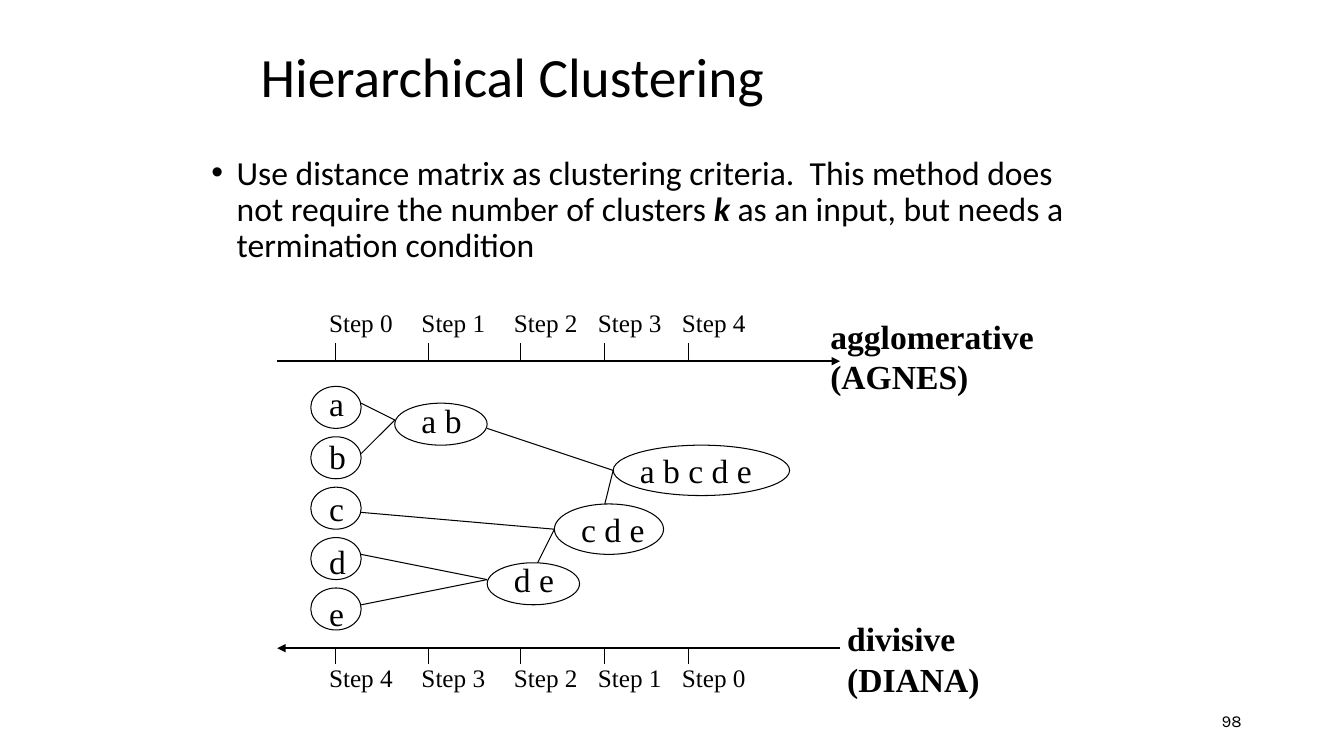
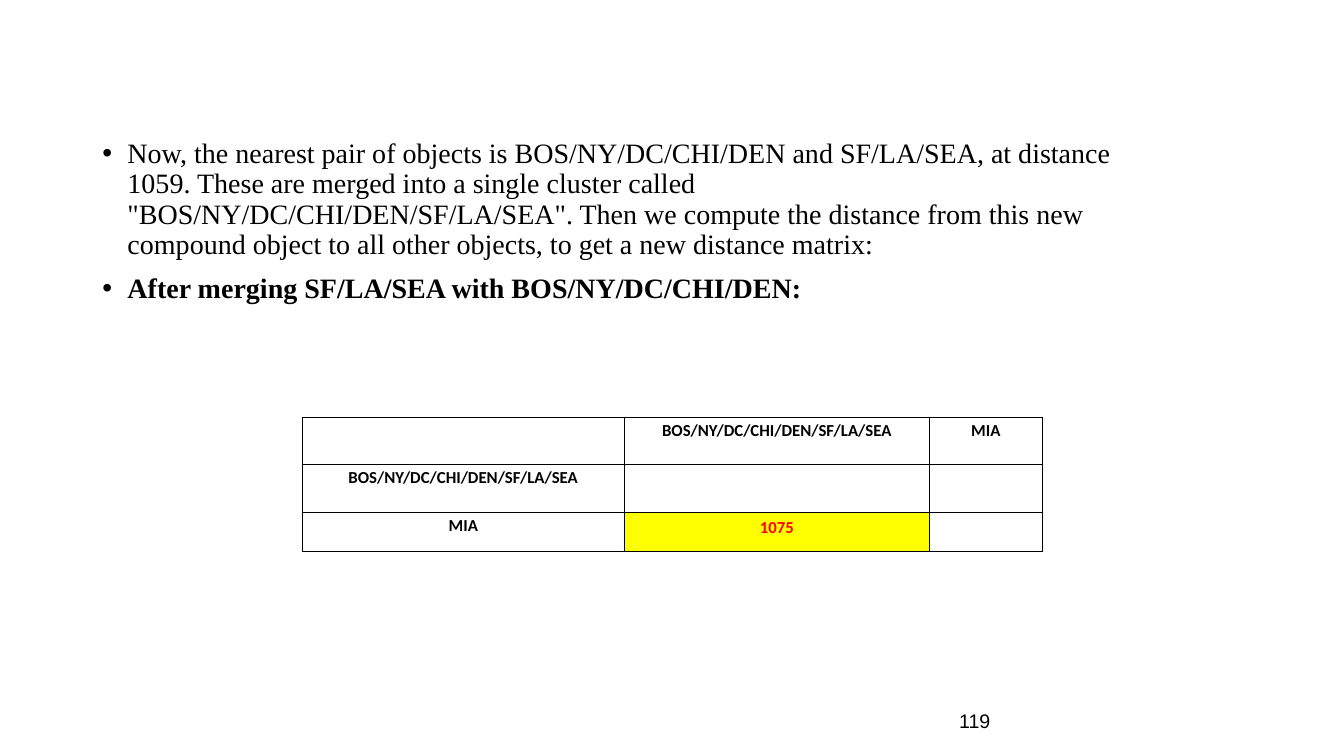
from lxml import etree
from pptx import Presentation
from pptx.dml.color import RGBColor
from pptx.enum.shapes import MSO_CONNECTOR, MSO_SHAPE
from pptx.enum.text import MSO_ANCHOR, PP_ALIGN
from pptx.oxml.ns import qn
from pptx.util import Pt

BLACK = RGBColor(0, 0, 0)
WHITE = RGBColor(255, 255, 255)
RED = RGBColor(255, 0, 0)
YELLOW = RGBColor(255, 255, 0)
SANS, SERIF = "Calibri", "Times New Roman"
LEFT, MID, RIGHT = PP_ALIGN.LEFT, PP_ALIGN.CENTER, PP_ALIGN.RIGHT
TOP, CENTER = MSO_ANCHOR.TOP, MSO_ANCHOR.MIDDLE
OVAL, STRAIGHT = MSO_SHAPE.OVAL, MSO_CONNECTOR.STRAIGHT
PAGE = (678, 500, 216, 29)


def write(slide, area, paras, size, font, align=LEFT, anchor=TOP,
          bullet=False, lead=None):
    """Add a text box; each paragraph is a list of (text, style) runs."""
    frame = slide.shapes.add_textbox(*map(Pt, area)).text_frame
    frame.word_wrap = True
    frame.vertical_anchor = anchor
    for i, runs in enumerate(paras):
        par = frame.paragraphs[0] if i == 0 else frame.add_paragraph()
        par.alignment = align
        if lead:
            par.line_spacing = lead
        if bullet:
            if i:
                par.space_before = Pt(10)
            props = par._p.get_or_add_pPr()
            props.set("marL", str(Pt(18)))
            props.set("indent", str(-Pt(18)))
            etree.SubElement(props, qn("a:buFont")).set("typeface", "Arial")
            etree.SubElement(props, qn("a:buChar")).set("char", "•")
        par.font.size = Pt(size)
        par.font.name = font
        par.font.color.rgb = BLACK
        for text, style in runs:
            run = par.add_run()
            run.text = text
            if "b" in style:
                run.font.bold = True
            if "i" in style:
                run.font.italic = True


def draw(slide, ends, width=0.75, arrow=None):
    """Add a black line, with an arrowhead at headEnd or tailEnd if asked."""
    line = slide.shapes.add_connector(STRAIGHT, *map(Pt, ends))
    line.line.color.rgb = BLACK
    line.line.width = Pt(width)
    if arrow:
        ln = line.line._get_or_add_ln()
        etree.SubElement(ln, qn("a:" + arrow)).set("type", "triangle")
    etree.SubElement(line._element.spPr, qn("a:effectLst"))


deck = Presentation()
deck.slide_width, deck.slide_height = Pt(960), Pt(540)
blank = deck.slide_layouts[6]

# Slide 1: title and method
slide = deck.slides.add_slide(blank)
write(slide, (179, 39, 575, 35), [[("Hierarchical Clustering", "")]],
      39.6, SANS, anchor=CENTER, lead=0.9)
write(slide, (144, 108, 640, 96), [[
    ("Use distance matrix as clustering criteria.  This method does not "
     "require the number of clusters ", ""),
    ("k", "bi"),
    (" as an input, but needs a termination condition", ""),
]], 24, SANS, bullet=True, lead=0.9)

# Step axes: line, ticks and labels
steps = (240, 306, 372, 432, 492)
axes = (
    (258, 245, 216, "tailEnd", range(5)),
    (463, 462, 469.5, "headEnd", range(4, -1, -1)),
)
for axis, tick, label, arrow, order in axes:
    draw(slide, (198, axis, 600, axis), 1.5, arrow)
    for x, step in zip(steps, order):
        draw(slide, (x, tick, x, tick + 12))
        write(slide, (x - 12, label, 66, 29), [[(f"Step {step}", "")]],
              18, SERIF)

# Clusters: oval, then place and width of its label
nodes = [((222, 276 + 36 * i, 36, 30), (228, 270 + 37.5 * i, 30), name)
         for i, name in enumerate("abcde")]
nodes += [
    ((282, 288, 66, 30), (294, 282, 50), "a b"),
    ((348, 402, 66, 30), (360, 396, 50), "d e"),
    ((396, 360, 78, 36), (408, 360, 66), "c d e"),
    ((438, 318, 126, 36), (450, 318, 108), "a b c d e"),
]
for area, label, name in nodes:
    oval = slide.shapes.add_shape(OVAL, *map(Pt, area))
    oval.shadow.inherit = False
    oval.fill.background()
    oval.line.color.rgb = BLACK
    oval.line.width = Pt(0.75)
    write(slide, (*label, 36), [[(name, "")]], 24, SERIF)

# Merges
merges = (
    (258, 288, 282, 300), (258, 324, 282, 300),
    (258, 396, 348, 414), (258, 432, 348, 414),
    (258, 366, 396, 378), (384, 402, 396, 378),
    (348, 306, 438, 336), (432, 360, 438, 336),
)
for ends in merges:
    draw(slide, ends)

# Names of the two directions
ways = (
    ((586, 222, 170, 65), "agglomerative", "(AGNES)"),
    ((598, 438, 120, 65), "divisive", "(DIANA)"),
)
for area, *lines in ways:
    write(slide, area, [[(line, "b")] for line in lines], 24, SERIF)
write(slide, PAGE, [[("98", "")]], 12, "Karla", RIGHT, CENTER)

# Slide 2: merge step
slide = deck.slides.add_slide(blank)
write(slide, (66, 96, 756, 330), [
    [("Now, the nearest pair of objects is BOS/NY/DC/CHI/DEN and SF/LA/SEA, "
      "at distance 1059. These are merged into a single cluster called "
      "\"BOS/NY/DC/CHI/DEN/SF/LA/SEA\". Then we compute the distance from "
      "this new compound object to all other objects, to get a new distance "
      "matrix:", "")],
    [("After merging SF/LA/SEA with BOS/NY/DC/CHI/DEN:", "b")],
], 20, SERIF, bullet=True, lead=0.9)

# Distance matrix
group = "BOS/NY/DC/CHI/DEN/SF/LA/SEA"
rows = (("", group, "MIA"), (group, "", ""), ("MIA", "1075", ""))
widths, heights = (230, 218, 80.5), (34, 34, 28)
table = slide.shapes.add_table(
    3, 3, Pt(216), Pt(298), Pt(sum(widths)), Pt(sum(heights))).table
table.first_row = table.horz_banding = False
for column, width in zip(table.columns, widths):
    column.width = Pt(width)
for r, row in enumerate(rows):
    table.rows[r].height = Pt(heights[r])
    for c, text in enumerate(row):
        cell = table.cell(r, c)
        hit = text == "1075"
        pad = Pt(3.6 if hit else 2.2)
        cell.margin_left = cell.margin_right = pad
        cell.margin_top = cell.margin_bottom = pad
        cell.text = text
        par = cell.text_frame.paragraphs[0]
        par.alignment = MID
        par.font.size = Pt(12)
        par.font.name = SANS
        par.font.bold = True
        par.font.color.rgb = RED if hit else BLACK
        props = cell._tc.get_or_add_tcPr()
        for side in ("lnL", "lnR", "lnT", "lnB"):
            edge = etree.SubElement(props, qn("a:" + side), w=str(Pt(1)))
            paint = etree.SubElement(edge, qn("a:solidFill"))
            etree.SubElement(paint, qn("a:srgbClr"), val=str(BLACK))
        cell.fill.solid()
        cell.fill.fore_color.rgb = YELLOW if hit else WHITE
write(slide, PAGE, [[("119", "")]], 14, "Arial", anchor=CENTER)

deck.save("out.pptx")
